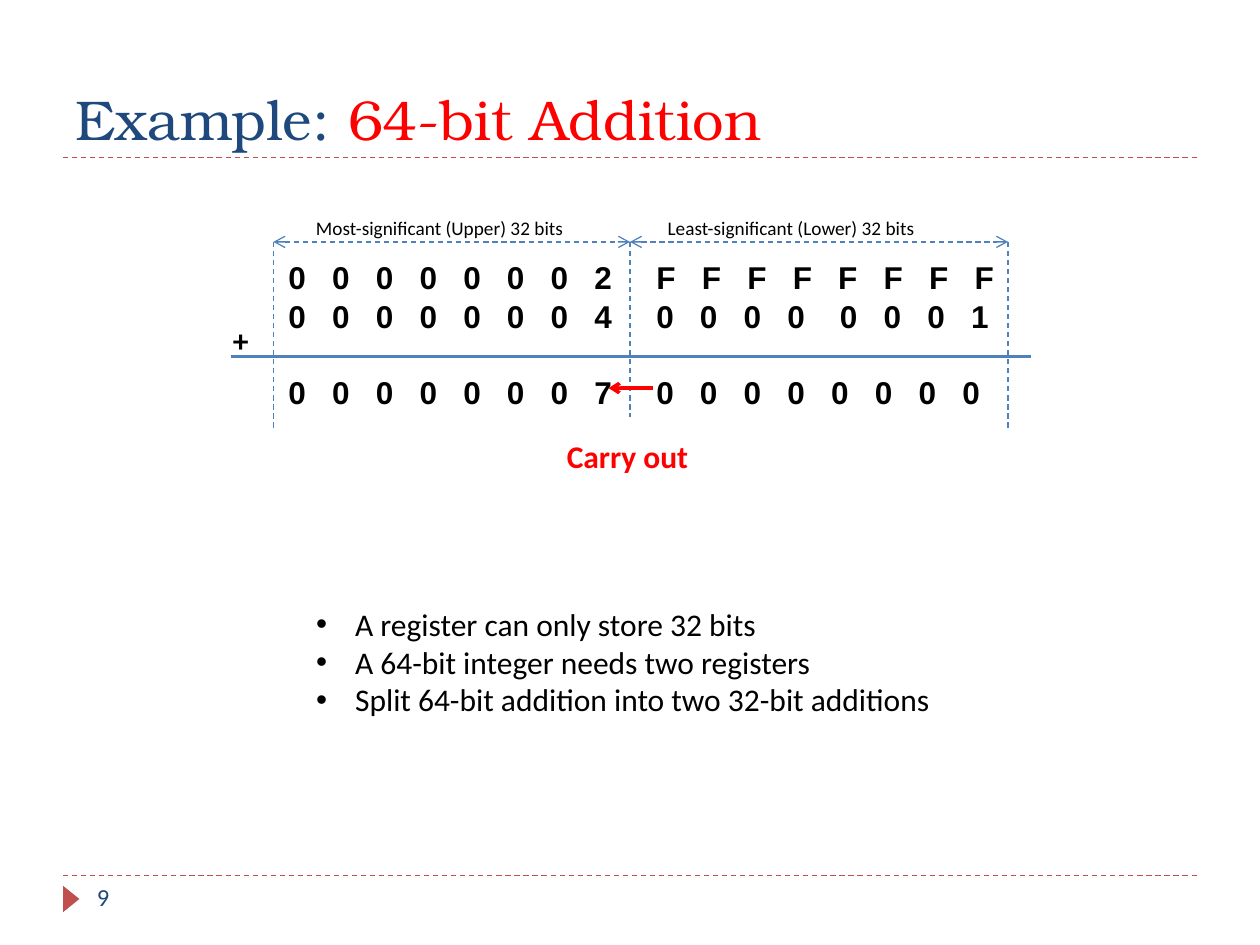
import lxml.etree
import pptx
import pptx.dml.color
import pptx.enum.dml
import pptx.enum.shapes
import pptx.enum.text
import pptx.oxml.ns
import pptx.util

Inches = pptx.util.Inches
Pt = pptx.util.Pt
qualified = pptx.oxml.ns.qn

RED = "FF0000"
NAVY = "1F497D"
BLUE = "4F81BD"
BRICK = "C0504D"
BLACK = "000000"

DIGIT_PITCH = 0.347
LETTER_PITCH = 0.361
GROUP_GAP = 0.07
LOWER_START = 2.92
ROW_HEIGHT = 21.8


def color(value):
    return pptx.dml.color.RGBColor.from_string(value)


def add_element(parent, tag, **attributes):
    return lxml.etree.SubElement(parent, qualified(tag), attributes)


def format_run(run, size, font, fill, bold=False):
    run.font.size = Pt(size)
    run.font.name = font
    run.font.bold = bold
    run.font.color.rgb = color(fill)


def add_text(slide, box, lines, size, fill=BLACK, font="Calibri", bold=False, wrap=False):
    shape = slide.shapes.add_textbox(*[Inches(length) for length in box])
    frame = shape.text_frame
    frame.word_wrap = wrap
    frame.text = "\n".join(lines)
    for paragraph in frame.paragraphs:
        for run in paragraph.runs:
            format_run(run, size, font, fill, bold)
    return frame


def add_line(slide, start, end, fill, width=0.75, dashed=True, arrows=()):
    line = slide.shapes.add_connector(
        pptx.enum.shapes.MSO_CONNECTOR.STRAIGHT,
        *[Inches(length) for length in start + end])
    line.line.color.rgb = color(fill)
    line.line.width = Pt(width)
    if dashed:
        line.line.dash_style = pptx.enum.dml.MSO_LINE.DASH
    for arrow in arrows:
        add_element(line.line._get_or_add_ln(), arrow, type="arrow")
    add_element(line._element.spPr, "a:effectLst")


def add_title(slide):
    frame = add_text(slide, (0.5, 0.17, 9, 1.08), ["Example: "], 32, NAVY,
                     "TeX Gyre Bonum", wrap=True)
    frame.vertical_anchor = pptx.enum.text.MSO_ANCHOR.BOTTOM
    run = frame.paragraphs[0].add_run()
    run.text = "64-bit Addition"
    format_run(run, 32, "TeX Gyre Bonum", RED)


def add_footer(slide):
    marker = slide.shapes.add_shape(
        pptx.enum.shapes.MSO_SHAPE.ISOSCELES_TRIANGLE,
        Inches(0.46), Inches(7.07), Inches(0.21), Inches(0.13))
    marker.rotation = 90
    marker.shadow.inherit = False
    marker.fill.solid()
    marker.fill.fore_color.rgb = color(BRICK)
    marker.line.fill.background()
    add_text(slide, (0.67, 6.95, 2.17, 0.4), ["9"], 14, NAVY, wrap=True)


def set_digit_stops(paragraph, lower_pitch, middle_gap):
    upper = [DIGIT_PITCH * place for place in range(1, 8)]
    lower = [LOWER_START + lower_pitch * place + middle_gap * (place > 3)
             for place in range(8)]
    tabs = add_element(paragraph._p.get_or_add_pPr(), "a:tabLst")
    for stop in upper + lower:
        add_element(tabs, "a:tab", pos=str(int(Inches(stop))), algn="l")


def add_digits(slide):
    rows = [
        ("00000002FFFFFFFF", LETTER_PITCH, 0),
        ("0000000400000001", DIGIT_PITCH, GROUP_GAP),
        ("0000000700000000", DIGIT_PITCH, 0),
    ]
    lines = ["\t".join(digits) for digits, pitch, gap in rows]
    frame = add_text(slide, (2.19, 2, 5.99, 1.31), lines, 18, font="Arial",
                     bold=True, wrap=True)
    for paragraph, (digits, pitch, gap) in zip(frame.paragraphs, rows):
        paragraph.line_spacing = Pt(ROW_HEIGHT)
        set_digit_stops(paragraph, pitch, gap)
    frame.paragraphs[-1].space_before = Pt(ROW_HEIGHT)


def add_bullets(slide, box, lines):
    frame = add_text(slide, box, lines, 18)
    indent = Inches(0.31)
    for paragraph in frame.paragraphs:
        properties = paragraph._p.get_or_add_pPr()
        properties.set("marL", str(int(indent)))
        properties.set("indent", str(-int(indent)))
        add_element(properties, "a:buFont", typeface="Arial")
        add_element(properties, "a:buChar", char="•")


def main():
    presentation = pptx.Presentation()
    presentation.slide_width = Inches(10)
    presentation.slide_height = Inches(7.5)
    slide = presentation.slides.add_slide(presentation.slide_layouts[6])

    for y in (6.95, 1.25):
        add_line(slide, (0.5, y), (9.5, y), BRICK)
    add_footer(slide)
    add_title(slide)

    add_line(slide, (1.83, 2.83), (8.18, 2.83), BLUE, 1.5, dashed=False)
    for x, bottom in ((5, 3.31), (2.17, 3.42), (8, 3.42)):
        add_line(slide, (x, 1.92), (x, bottom), BLUE)
    add_digits(slide)
    for left, right in ((2.17, 5), (5, 8)):
        add_line(slide, (left, 1.92), (right, 1.92), BLUE,
                 arrows=("a:headEnd", "a:tailEnd"))
    add_text(slide, (2.41, 1.67, 2.17, 0.29), ["Most-significant (Upper) 32 bits"], 11)
    add_text(slide, (5.2, 1.67, 2.19, 0.29), ["Least-significant (Lower) 32 bits"], 11)
    add_text(slide, (1.75, 2.5, 0.35, 0.4), ["+"], 18, bold=True)
    add_line(slide, (5.18, 3.08), (4.83, 3.08), RED, 2, dashed=False,
             arrows=("a:tailEnd",))
    add_text(slide, (4.4, 3.42, 1.36, 0.4), ["Carry out"], 18, RED, bold=True)
    add_bullets(slide, (2.41, 4.75, 5.12, 1.01), [
        "A register can only store 32 bits",
        "A 64-bit integer needs two registers",
        "Split 64-bit addition into two 32-bit additions",
    ])
    presentation.save("out.pptx")


if __name__ == "__main__":
    main()
